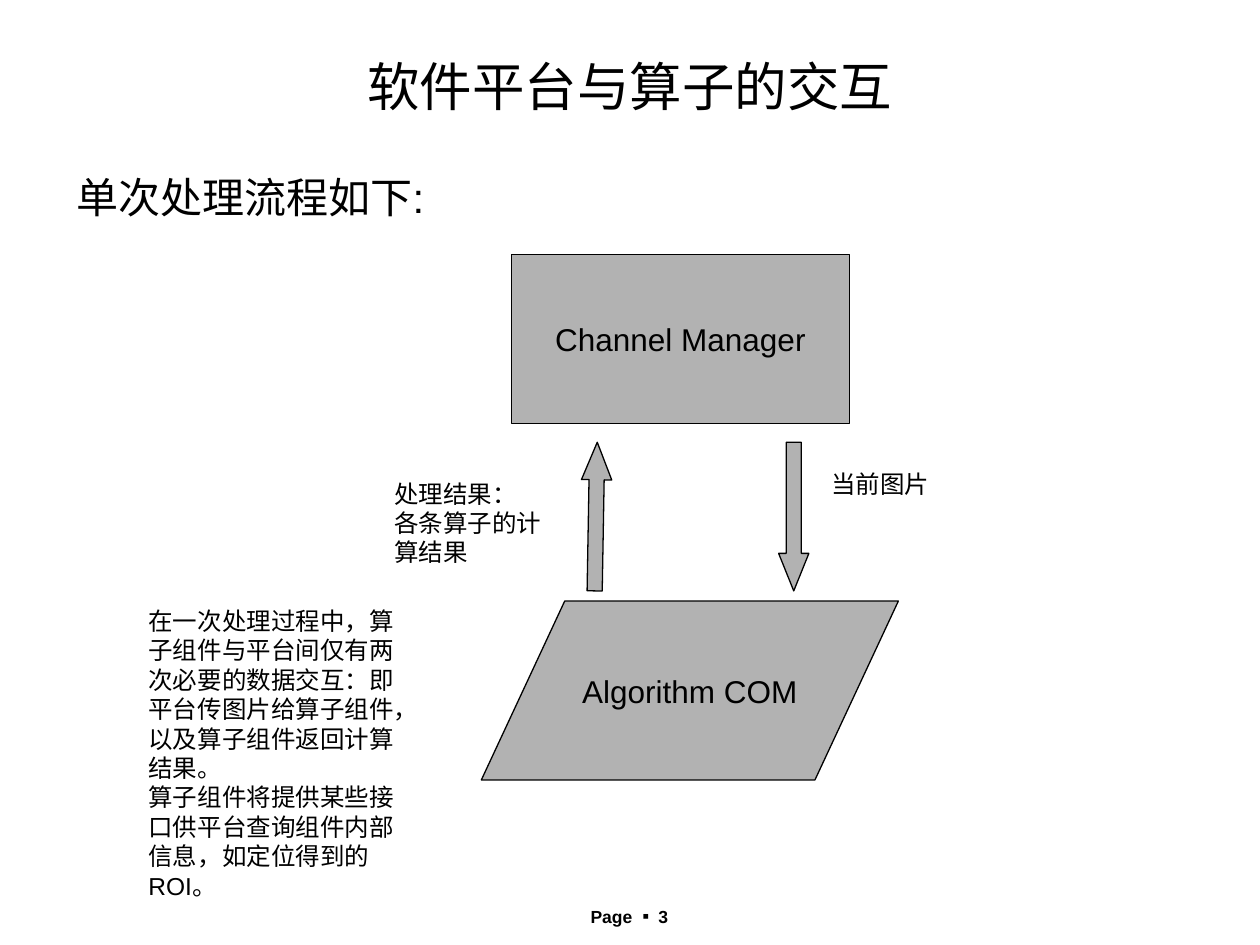
from dataclasses import dataclass

from lxml import etree
from pptx import Presentation
from pptx.dml.color import RGBColor
from pptx.enum.shapes import MSO_SHAPE as Shape
from pptx.enum.text import MSO_ANCHOR as Anchor, MSO_AUTO_SIZE as AutoSize, PP_ALIGN as Align
from pptx.oxml.ns import qn
from pptx.util import Inches, Pt

BLACK = RGBColor(0x00, 0x00, 0x00)
GRAY = RGBColor(0xB2, 0xB2, 0xB2)
WHITE = RGBColor(0xFF, 0xFF, 0xFF)
LATIN, CJK = "Arial", "Noto Sans CJK JP"


@dataclass
class Label:
    box: tuple[float, float, float, float]
    paragraphs: list[str]
    size: int = 14
    align: Align = Align.LEFT
    anchor: Anchor = Anchor.TOP
    auto_size: AutoSize = AutoSize.SHAPE_TO_FIT_TEXT
    line_spacing: float = 1.0
    space_before: int = 0


@dataclass
class Block:
    kind: Shape
    box: tuple[float, float, float, float]
    text: str = ""
    rotation: int = 0
    adjustments: tuple[float, ...] = ()


TITLE = Label((0.51, 0.21, 8.98, 0.94), ["软件平台与算子的交互"], 30,
              Align.CENTER, Anchor.MIDDLE, AutoSize.NONE)
BODY = Label((0.51, 1.23, 8.98, 5.67), ["单次处理流程如下:"], 24,
             auto_size=AutoSize.NONE, line_spacing=1.2, space_before=6)
BLOCKS = [
    Block(Shape.RECTANGLE, (4.06, 2.02, 2.68, 1.34), "Channel Manager"),
    Block(Shape.FLOWCHART_DATA, (3.82, 4.77, 3.31, 1.42), "Algorithm COM"),
    Block(Shape.DOWN_ARROW, (6.18, 3.51, 0.24, 1.18), adjustments=(0.5, 1.24)),
    Block(Shape.UP_ARROW, (4.61, 3.51, 0.24, 1.18), rotation=1, adjustments=(0.5, 1.24)),
]
NOTES = [
    Label((6.5, 3.67, 1.2, 0.57), ["当前图片"]),
    Label((3.03, 3.75, 1.45, 0.8), ["处理结果：", "各条算子的计算结果"]),
    Label((1.08, 4.76, 2.27, 2.44), [
        "在一次处理过程中，算子组件与平台间仅有两次必要的数据交互：即平台传图片给算子组件，以及算子组件返回计算结果。",
        "算子组件将提供某些接口供平台查询组件内部信息，如定位得到的ROI。",
    ]),
]


def set_format(target, values: dict) -> None:
    for name, value in values.items():
        setattr(target, name, value)


def add_run(p, text: str, size: int, font: str = LATIN, bold: bool = False) -> None:
    r = p.add_run()
    r.text = text
    set_format(r.font, {"size": Pt(size), "name": font, "bold": bold})
    r.font.color.rgb = BLACK
    latin = r.font._element.find(qn("a:latin"))
    latin.addnext(etree.Element(qn("a:ea"), typeface=CJK))


def add_label(s, label: Label):
    tf = s.shapes.add_textbox(*map(Inches, label.box)).text_frame
    set_format(tf, {"word_wrap": True, "auto_size": label.auto_size,
                    "vertical_anchor": label.anchor})
    for i, text in enumerate(label.paragraphs):
        p = tf.add_paragraph() if i else tf.paragraphs[0]
        set_format(p, {"alignment": label.align, "line_spacing": label.line_spacing,
                       "space_before": Pt(label.space_before)})
        add_run(p, text, label.size)
    return tf


def add_block(s, block: Block) -> None:
    sp = s.shapes.add_shape(block.kind, *map(Inches, block.box))
    sp.shadow.inherit = False
    sp.rotation = block.rotation
    for i, value in enumerate(block.adjustments):
        sp.adjustments[i] = value
    sp.fill.solid()
    sp.fill.fore_color.rgb = GRAY
    sp.line.color.rgb = BLACK
    sp.line.width = Pt(0.75)
    if block.text:
        tf = sp.text_frame
        set_format(tf, {"word_wrap": False, "vertical_anchor": Anchor.MIDDLE})
        p = tf.paragraphs[0]
        p.alignment = Align.CENTER
        add_run(p, block.text, 18)


def add_page_number(s) -> None:
    tf = add_label(s, Label((4.21, 7.14, 1.57, 0.22), [], auto_size=AutoSize.NONE))
    p = tf.paragraphs[0]
    p.alignment = Align.CENTER
    for text, font in (("Page ", LATIN), ("▪ ", CJK), ("3", LATIN)):
        add_run(p, text, 10, font, bold=True)


def main() -> None:
    prs = Presentation()
    set_format(prs, {"slide_width": Inches(10), "slide_height": Inches(7.5)})
    s = prs.slides.add_slide(prs.slide_layouts[6])
    s.background.fill.solid()
    s.background.fill.fore_color.rgb = WHITE
    add_page_number(s)
    for label in (TITLE, BODY):
        add_label(s, label)
    for block in BLOCKS:
        add_block(s, block)
    for note in NOTES:
        add_label(s, note)
    prs.save("out.pptx")


if __name__ == "__main__":
    main()
